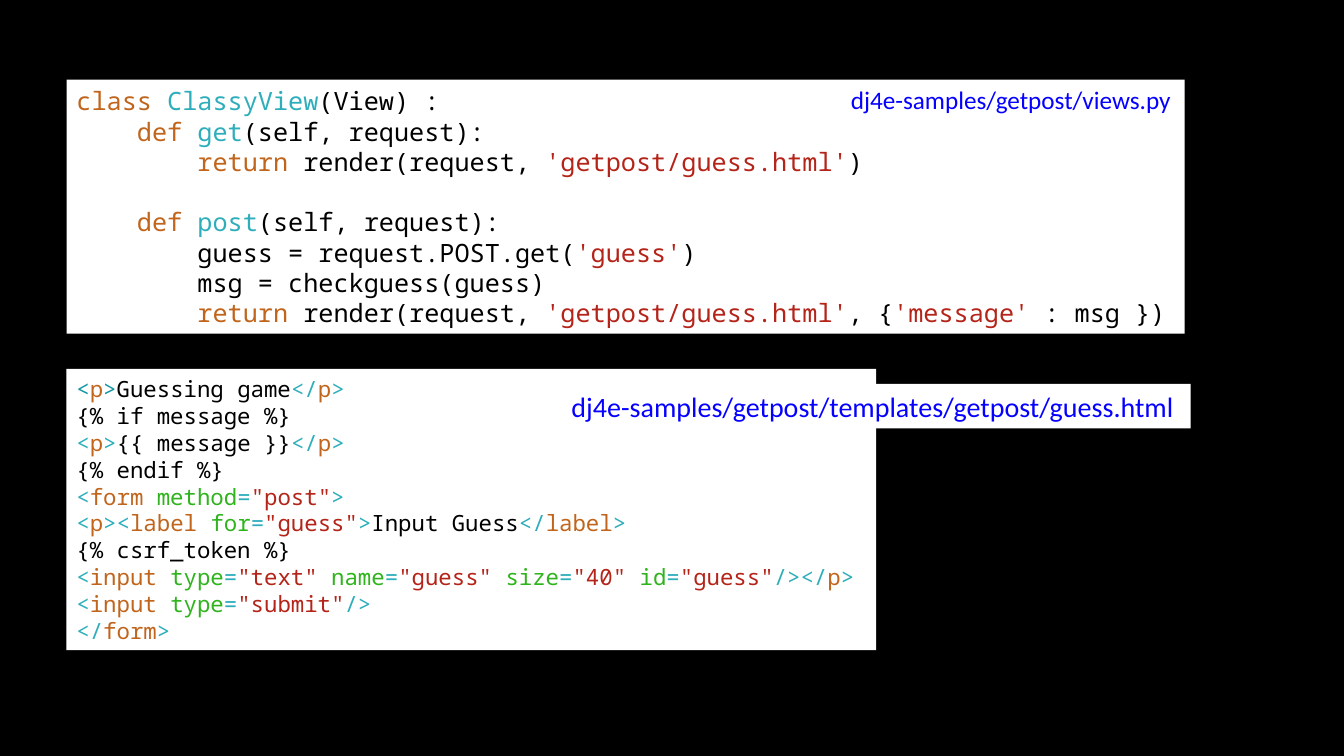
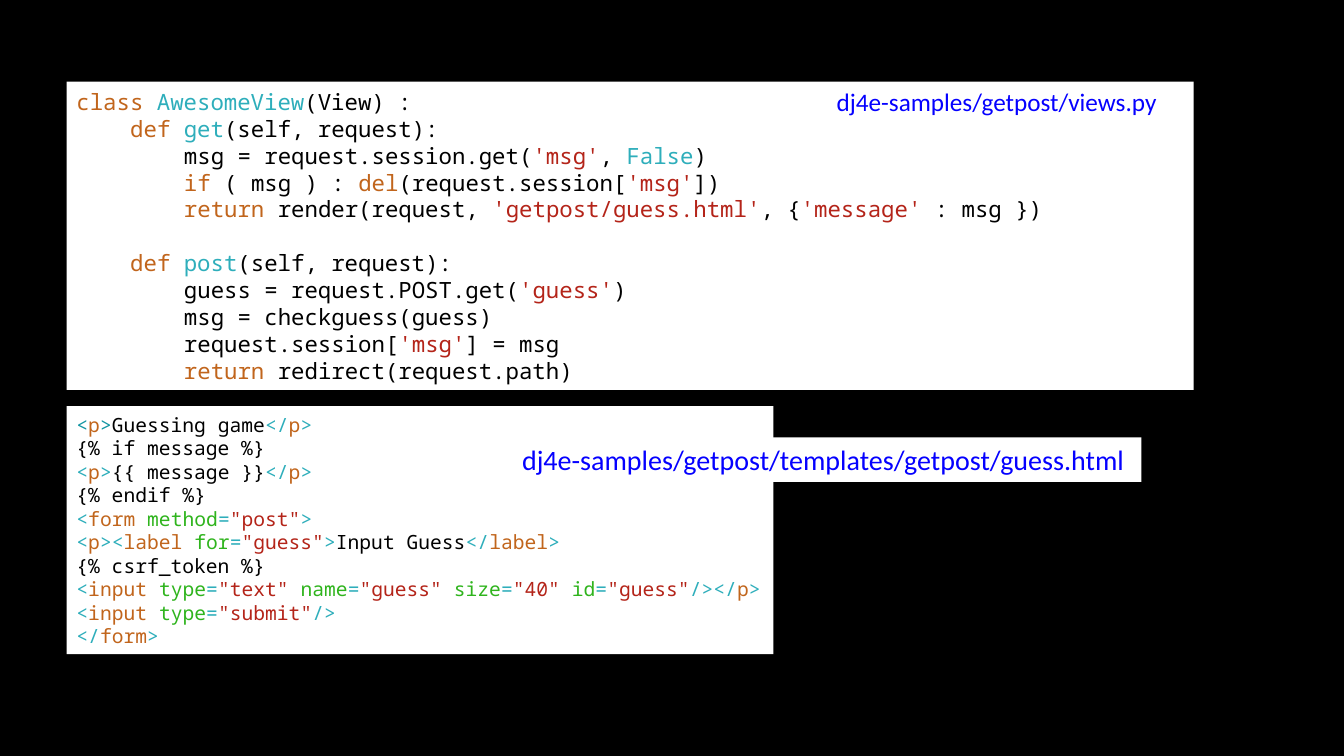
import pptx
import pptx.util
import pptx.dml.color
import pptx.enum.shapes
import pptx.enum.text

Inches = pptx.util.Inches
Pt = pptx.util.Pt

COLORS = {
    "back": "000000",
    "panel": "FFFFFF",
    "x": "000000",  # plain code
    "k": "C1651C",  # keyword or tag
    "n": "2EAEBB",  # name or markup sign
    "d": "1396A3",  # darker markup sign
    "s": "B42419",  # string
    "a": "2FB41D",  # attribute
    "l": "0500FF",  # file label
}
MONO, SANS = "Noto Sans Mono", "Calibri"
LEFT = 0.66
TAB = 4 * 0.6  # width of four mono letters, in ems
LEAD = 1.2     # height of one line, in ems

# In a listing "~" and a colour key start a run; each tab is one indent.
CLASSY = """~kclass ~nClassyView~x(View) :
\t~kdef ~nget~x(self, request):
\t\t~kreturn~x render(request, ~s'getpost/guess.html'~x)

\t~kdef ~npost~x(self, request):
\t\t~xguess = request.POST.get(~s'guess'~x)
\t\t~xmsg = checkguess(guess)
\t\t~kreturn~x render(request, ~s'getpost/guess.html'~x, {~s'message'~x : msg })"""

AWESOME = """~kclass ~nAwesomeView~x(View) :
\t~kdef ~nget~x(self, request):
\t\t~xmsg = request.session.get(~s'msg'~x, ~nFalse~x)
\t\t~kif~x ( msg ) : ~kdel~x(request.session[~s'msg'~x])
\t\t~kreturn~x render(request, ~s'getpost/guess.html'~x, {~s'message'~x : msg })

\t~kdef ~npost~x(self, request):
\t\t~xguess = request.POST.get(~s'guess'~x)
\t\t~xmsg = checkguess(guess)
\t\t~xrequest.session[~s'msg'~x] = msg
\t\t~kreturn~x redirect(request.path)"""

FORM = """~d<~kp~d>~xGuessing game~n</~kp~n>
~x{% if message %}
~n<~kp~n>~x{{ message }}~n</~kp~n>
~x{% endif %}
~n<~kform ~amethod~n=~s"post"~n>
~n<~kp~n><~klabel ~afor~n=~s"guess"~n>~xInput Guess~n</~klabel~n>
~x{% csrf_token %}
~n<~kinput ~atype~n=~s"text" ~aname~n=~s"guess" ~asize~n=~s"40" ~aid~n=~s"guess"~n/></~kp~n>
~n<~kinput ~atype~n=~s"submit"~n/>
~n</~kform~n>"""

VIEW_FILE = "~ldj4e-samples/getpost/views.py"
FORM_FILE = "~ldj4e-samples/getpost/templates/getpost/guess.html"


def color(key):
    return pptx.dml.color.RGBColor.from_string(COLORS[key])


def write(frame, text, face, size):
    """Set marked text; an empty line becomes space before the next one."""
    gap, fresh = 0, True
    for line in text.split("\n"):
        if not line:
            gap += size * LEAD
            continue
        para = frame.paragraphs[0] if fresh else frame.add_paragraph()
        fresh = False
        para.alignment = pptx.enum.text.PP_ALIGN.LEFT
        para.font.name, para.font.size = face, Pt(size)
        if gap:
            para.space_before = Pt(gap)
            gap = 0
        depth = line.count("\t")
        if depth:
            props = para._p.get_or_add_pPr()
            props.set("marL", str(Pt(depth * TAB * size)))
            props.set("indent", "0")
        for part in line.strip("\t").split("~")[1:]:
            run = para.add_run()
            run.text = part[1:]
            run.font.color.rgb = color(part[0])


def panel(slide, box, text, face, size, wrap=False):
    """White box of marked text."""
    shape = slide.shapes.add_shape(
        pptx.enum.shapes.MSO_SHAPE.RECTANGLE, *map(Inches, box))
    shape.shadow.inherit = False
    shape.fill.solid()
    shape.fill.fore_color.rgb = color("panel")
    shape.line.fill.background()
    shape.text_frame.word_wrap = wrap
    write(shape.text_frame, text, face, size)


def view_part(slide, box, code, size, label_x):
    """Python listing with its file name in the top right."""
    panel(slide, box, code, MONO, size, wrap=True)
    label = slide.shapes.add_textbox(
        *map(Inches, (box[0] + label_x, box[1], 3.41, 0.4)))
    label.text_frame.word_wrap = False
    write(label.text_frame, VIEW_FILE, SANS, 18)


def form_part(slide, box, size, label_x, label_y):
    """Template listing with its file name across the right edge."""
    panel(slide, box, FORM, MONO, size)
    panel(slide, (box[0] + label_x, box[1] + label_y, 6.24, 0.44),
          FORM_FILE, SANS, 20)


def main():
    deck = pptx.Presentation()
    deck.slide_width, deck.slide_height = Inches(13.33), Inches(7.5)
    fill = deck.slide_master.background.fill
    fill.solid()
    fill.fore_color.rgb = color("back")
    blank = deck.slide_layouts[6]

    classy = deck.slides.add_slide(blank)
    view_part(classy, (LEFT, 0.79, 11.09, 2.52), CLASSY, 18, 7.68)
    form_part(classy, (LEFT, 3.66, 8.03, 2.79), 16, 4.91, 0.15)

    awesome = deck.slides.add_slide(blank)
    view_part(awesome, (LEFT, 0.81, 11.18, 3.06), AWESOME, 16, 7.54)
    form_part(awesome, (LEFT, 4.03, 7.01, 2.46), 14, 4.42, 0.31)

    deck.save("out.pptx")


if __name__ == "__main__":
    main()
